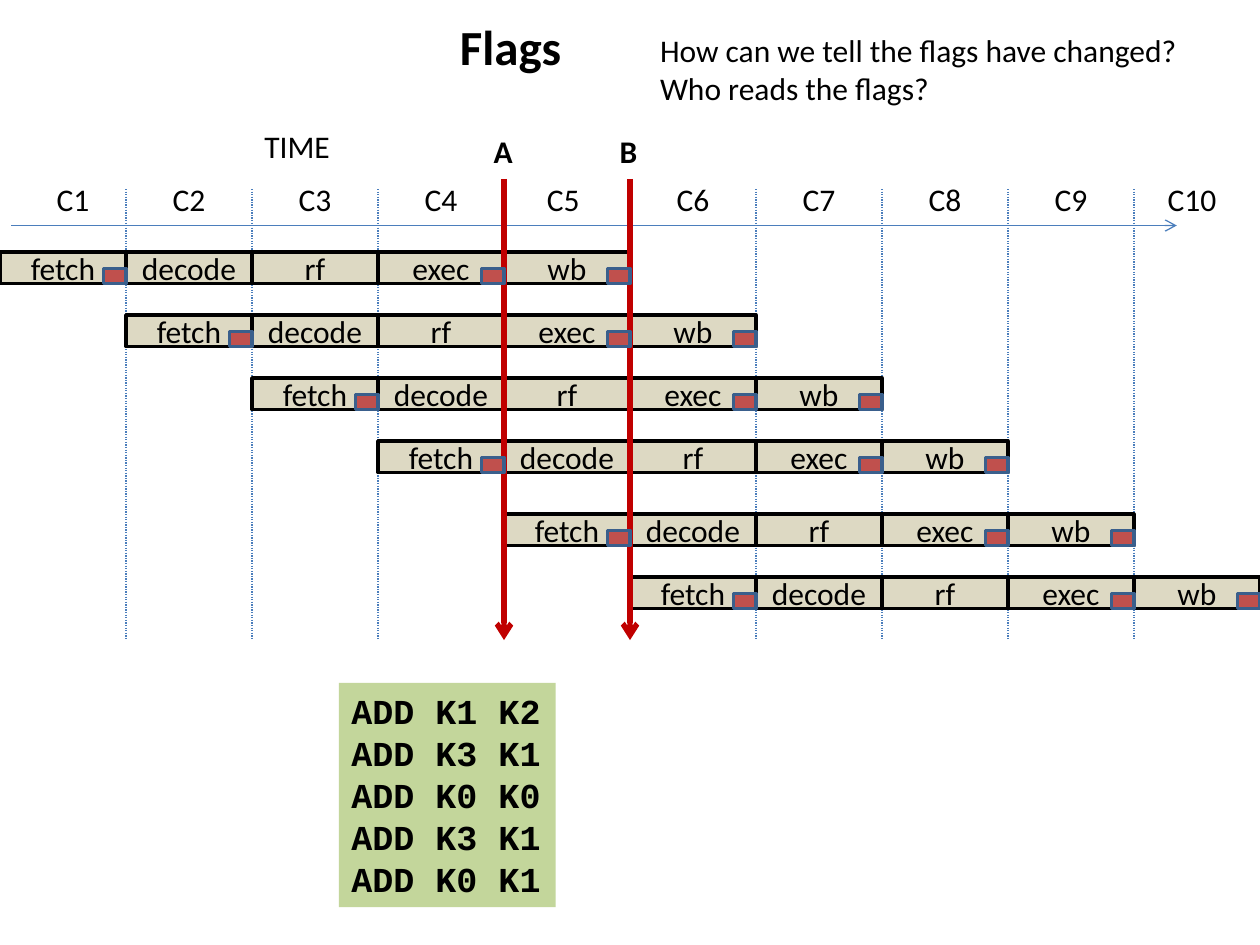
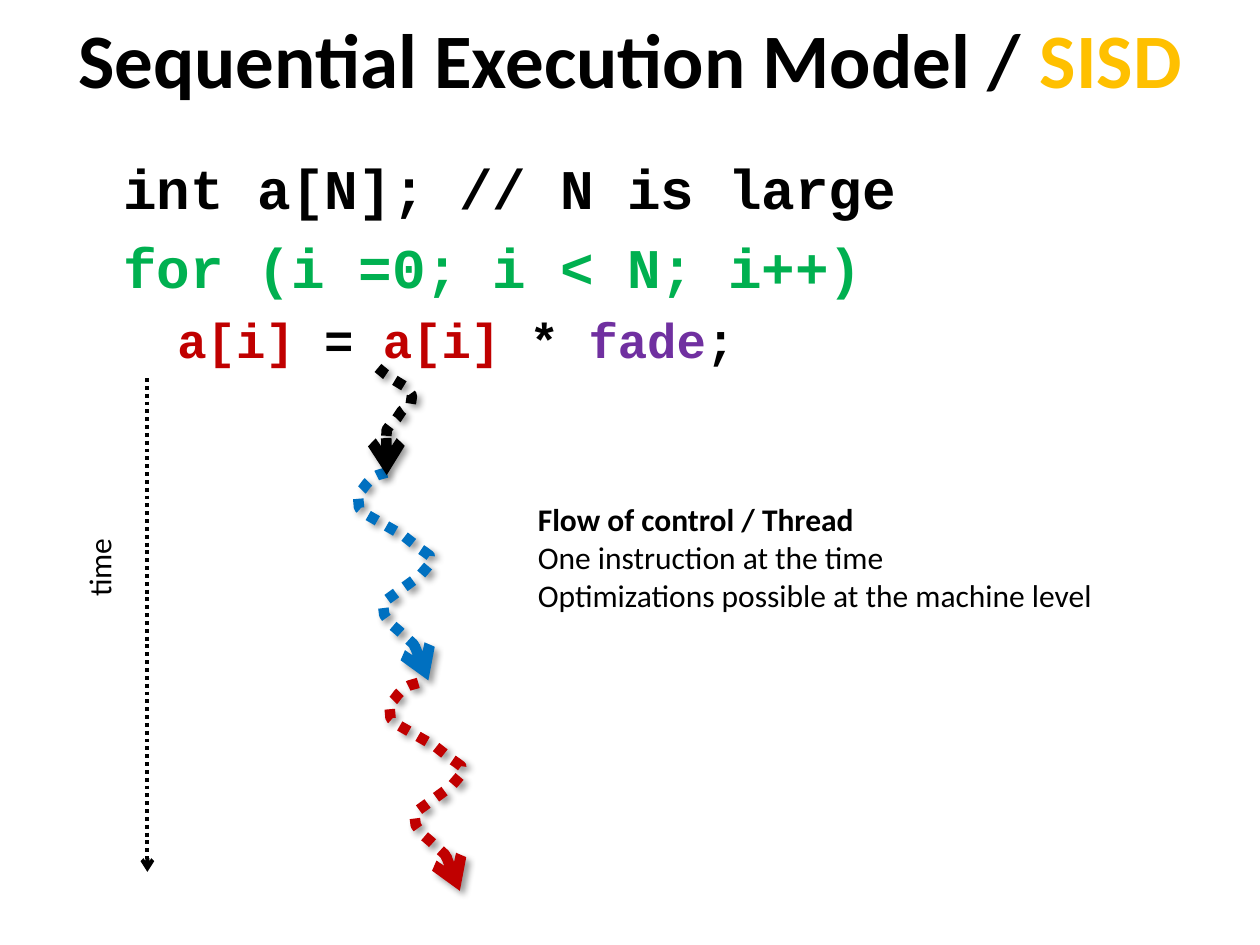
from dataclasses import dataclass

from lxml.etree import SubElement
from pptx import Presentation
from pptx.dml.color import RGBColor
from pptx.enum.dml import MSO_LINE
from pptx.enum.shapes import MSO_CONNECTOR, MSO_SHAPE
from pptx.enum.text import MSO_ANCHOR as ANCHOR, MSO_AUTO_SIZE as AUTO_SIZE, PP_ALIGN as ALIGN
from pptx.oxml.ns import qn
from pptx.util import Inches, Pt

COLORS = {
    "ink": "000000", "axis": "4B7EBC", "stage": "DDD9C3", "edge": "3A5F8C",
    "flag": "C0504D", "red": "C00000", "listing": "C3D69B", "gold": "FFC000",
    "green": "00B050", "purple": "7030A0", "blue": "0070C0",
}
SANS, MONO = "Calibri", "Courier New"
TITLE_ONLY = 5

# The slide is a grid of 10 columns by 7.5 rows
SLIDE_WIDTH, SLIDE_HEIGHT = Inches(10), Inches(7.5)
COLUMN, ROW = SLIDE_WIDTH / 10, SLIDE_HEIGHT / 7.5

STAGES = ["fetch", "decode", "rf", "exec", "wb"]
FLAGGED_STAGES = {"fetch", "exec", "wb"}
CYCLE_NUDGES = {1: 0.08, 5: -0.03, 10: -0.04}

# Bends of the threads, from the top left of each
LONG_THREAD = [
    (0.23, 0), (0.16, 0.02), (0.12, 0.04), (0.07, 0.09), (0.04, 0.13), (0, 0.17),
    (0.01, 0.28), (0.08, 0.34), (0.36, 0.5), (0.5, 0.61), (0.53, 0.63), (0.57, 0.66),
    (0.56, 0.74), (0.5, 0.81), (0.45, 0.85), (0.34, 0.93), (0.23, 1.01), (0.2, 1.05),
    (0.21, 1.13), (0.26, 1.2), (0.33, 1.26), (0.44, 1.36), (0.48, 1.43), (0.51, 1.45),
    (0.56, 1.65),
]
SHORT_THREAD = [
    (0, 0), (0.06, 0.05), (0.12, 0.09), (0.22, 0.15), (0.27, 0.22), (0.26, 0.29),
    (0.19, 0.34), (0.15, 0.4), (0.1, 0.45), (0.07, 0.49), (0.06, 0.67), (0.07, 0.85),
]


@dataclass
class Box:
    """An area in columns and rows."""
    left: float
    top: float
    width: float
    height: float

    def area(self, x, y, width, height):
        return Box(self.left + x, self.top + y, width, height)

    def frame(self):
        return (round(self.left * COLUMN), round(self.top * ROW),
                round(self.width * COLUMN), round(self.height * ROW))


def color(name):
    return RGBColor.from_string(COLORS[name])


def set_font(font, size, tint="ink", bold=False, name=SANS):
    font.name, font.size, font.bold = name, Pt(size), bold
    font.color.rgb = color(tint)


def set_line(shape, tint, width, dotted=False, arrow=False):
    line = shape.line
    line.color.rgb = color(tint)
    line.width = Pt(width)
    if dotted:
        line.dash_style = MSO_LINE.ROUND_DOT
    if arrow:
        SubElement(shape.element.spPr.find(qn("a:ln")), qn("a:tailEnd"), type="arrow")


def add_line(page, box, tint, width, **style):
    """Draw a line from the top left to the bottom right of the box."""
    left, top, across, down = box.frame()
    line = page.shapes.add_connector(MSO_CONNECTOR.STRAIGHT, left, top, left + across, top + down)
    set_line(line, tint, width, **style)
    SubElement(line.element.spPr, qn("a:effectLst"))


def add_rect(page, box, fill, edge=None):
    rect = page.shapes.add_shape(MSO_SHAPE.RECTANGLE, *box.frame())
    rect.shadow.inherit = False
    rect.fill.solid()
    rect.fill.fore_color.rgb = color(fill)
    if edge:
        set_line(rect, edge, 2)
    else:
        rect.line.fill.background()
    return rect


def write_lines(frame, lines, size, align=ALIGN.LEFT, bold_lines=(), name=SANS):
    frame.word_wrap = False
    for index, text in enumerate(lines):
        para = frame.paragraphs[0] if index == 0 else frame.add_paragraph()
        para.text = text
        para.alignment = align
        set_font(para.font, size, bold=index in bold_lines, name=name)


def add_label(page, box, lines, **style):
    label = page.shapes.add_textbox(*box.frame())
    write_lines(label.text_frame, lines, 18, **style)
    label.text_frame.auto_size = AUTO_SIZE.SHAPE_TO_FIT_TEXT
    return label


def write_spans(para, spans, size, name=SANS):
    for text, tint in spans:
        span = para.add_run()
        span.text = text
        set_font(span.font, size, tint, bold=True, name=name)


def place_title(page, box, spans, size, align, anchor, wrap):
    title = page.shapes.title
    title.left, title.top, title.width, title.height = box.frame()
    frame = title.text_frame
    frame.word_wrap, frame.vertical_anchor = wrap, anchor
    frame.auto_size = AUTO_SIZE.NONE
    frame.paragraphs[0].alignment = align
    write_spans(frame.paragraphs[0], spans, size)


# Slide 1: pipeline of instructions over clock cycles
def add_timeline(page, box):
    add_line(page, box.area(0.09, 0.83, 9.25, 0), "axis", 0.75, arrow=True)
    add_label(page, box.area(2, 0, 0.73, 0.4), ["TIME"])
    for cycle in range(1, 11):
        if cycle < 10:
            add_line(page, box.area(cycle, 0.54, 0, 3.58), "axis", 0.75, dotted=True)
        width = 0.46 if cycle < 10 else 0.59
        center = cycle - 0.5 + CYCLE_NUDGES.get(cycle, 0)
        add_label(page, box.area(center - width / 2, 0.42, width, 0.4), [f"C{cycle}"],
                  align=ALIGN.CENTER)


def add_instruction(page, box):
    """Draw the five stages of one instruction, one column each."""
    for index, stage in enumerate(STAGES):
        cell = add_rect(page, box.area(index, 0, 1, box.height), "stage", "ink")
        cell.text_frame.vertical_anchor = ANCHOR.MIDDLE
        write_lines(cell.text_frame, [stage], 18, ALIGN.CENTER)


def add_flags(page, box):
    """Mark the end of each stage that has a flag."""
    for index, stage in enumerate(STAGES):
        if stage in FLAGGED_STAGES:
            add_rect(page, box.area(index + 0.82, 0.13, 0.18, 0.12), "flag", "edge")


def add_moment(page, box, name):
    add_line(page, box.area(0, 0.42, 0, 3.66), "red", 3, arrow=True)
    add_label(page, box.area(-0.18, 0, 0.35, 0.4), [name], bold_lines=[0])


def add_listing(page, box):
    listing = add_rect(page, box, "listing")
    operands = ["K1 K2", "K3 K1", "K0 K0", "K3 K1", "K0 K1"]
    listing.text_frame.vertical_anchor = ANCHOR.TOP
    write_lines(listing.text_frame, [f"ADD {pair}" for pair in operands], 20,
                bold_lines=range(5), name=MONO)


def build_flags_slide(page, box):
    place_title(page, box.area(3.55, 0.08, 1.02, 0.57), [("Flags", "ink")], 28,
                ALIGN.LEFT, ANCHOR.TOP, wrap=False)
    add_timeline(page, box.area(0, 0.96, 10, 4.12))
    # Each instruction starts one cycle later; a wider gap follows the fourth
    lanes = [box.area(start, 2 + start * 0.5 + (0.08 if start >= 4 else 0), 5, 0.25)
             for start in range(6)]
    for lane in lanes:
        add_instruction(page, lane)
    for cycle, name in ((4, "A"), (5, "B")):
        add_moment(page, box.area(cycle, 1, 0, 4.08), name)
    for lane in lanes:
        add_flags(page, lane)
    add_listing(page, box.area(2.69, 5.42, 1.72, 1.78))
    add_label(page, box.area(5.14, 0.2, 4.36, 0.71),
              ["How can we tell the flags have changed?", "Who reads the flags?"])


# Slide 2: one thread through a loop
def add_code(page, box):
    frame = page.shapes.add_textbox(*box.frame()).text_frame
    frame.word_wrap = True
    lines = [
        (32, 0.38, [("int a[N]; // N is large", "ink")]),
        (32, 0.38, [("for (i =0; i < N; i++)", "green")]),
        (28, 0.81, [("a[i]", "red"), (" = ", "ink"), ("a[i]", "red"), (" * ", "ink"),
                    ("fade", "purple"), (";", "ink")]),
    ]
    for index, (size, indent, spans) in enumerate(lines):
        para = frame.paragraphs[0] if index == 0 else frame.add_paragraph()
        para.space_before = Pt(size * 0.2)
        para._p.get_or_add_pPr().set("marL", str(Inches(indent)))
        write_spans(para, spans, size, MONO)


def add_time_axis(page, box):
    add_line(page, box.area(0.72, 0, 0, box.height), "ink", 2.25, dotted=True, arrow=True)
    add_label(page, box.area(0, 1.3, 0.67, 0.4), ["time"]).rotation = 270


def add_thread(page, box, bends, tint):
    points = [box.area(x, y, 0, 0).frame()[:2] for x, y in bends]
    builder = page.shapes.build_freeform(*points[0])
    builder.add_line_segments(points[1:], close=False)
    thread = builder.convert_to_shape()
    thread.fill.background()
    set_line(thread, tint, 6, dotted=True, arrow=True)
    # Soft shadow to the lower right
    thread.shadow.inherit = False
    effects = thread.element.spPr.find(qn("a:effectLst"))
    shadow = SubElement(effects, qn("a:outerShdw"), blurRad=str(Pt(4)), dist=str(Pt(3)),
                        dir="2700000", algn="tl", rotWithShape="0")
    shade = SubElement(shadow, qn("a:srgbClr"), val=COLORS["ink"])
    SubElement(shade, qn("a:alpha"), val="40000")


def build_sequential_slide(page, box):
    place_title(page, box.area(0.5, -0.17, 9, 1.25),
                [("Sequential Execution Model / ", "ink"), ("SISD", "gold")], 44,
                ALIGN.CENTER, ANCHOR.MIDDLE, wrap=True)
    add_code(page, box.area(0.5, 1.17, 9, 1.9))
    add_time_axis(page, box.area(0.45, 3, 0.72, 3.92))
    for left, top, bends, tint in ((2.84, 3.75, LONG_THREAD, "blue"),
                                   (3.09, 5.42, LONG_THREAD, "red"),
                                   (3, 2.92, SHORT_THREAD, "ink")):
        add_thread(page, box.area(left, top, 0, 0), bends, tint)
    add_label(page, box.area(4.17, 3.92, 4.99, 1),
              ["Flow of control / Thread", "One instruction at the time",
               "Optimizations possible at the machine level"], bold_lines=[0])


def main():
    deck = Presentation()
    deck.slide_width, deck.slide_height = SLIDE_WIDTH, SLIDE_HEIGHT
    for build in (build_flags_slide, build_sequential_slide):
        page = deck.slides.add_slide(deck.slide_layouts[TITLE_ONLY])
        build(page, Box(0, 0, 10, 7.5))
    deck.save("out.pptx")


if __name__ == "__main__":
    main()
